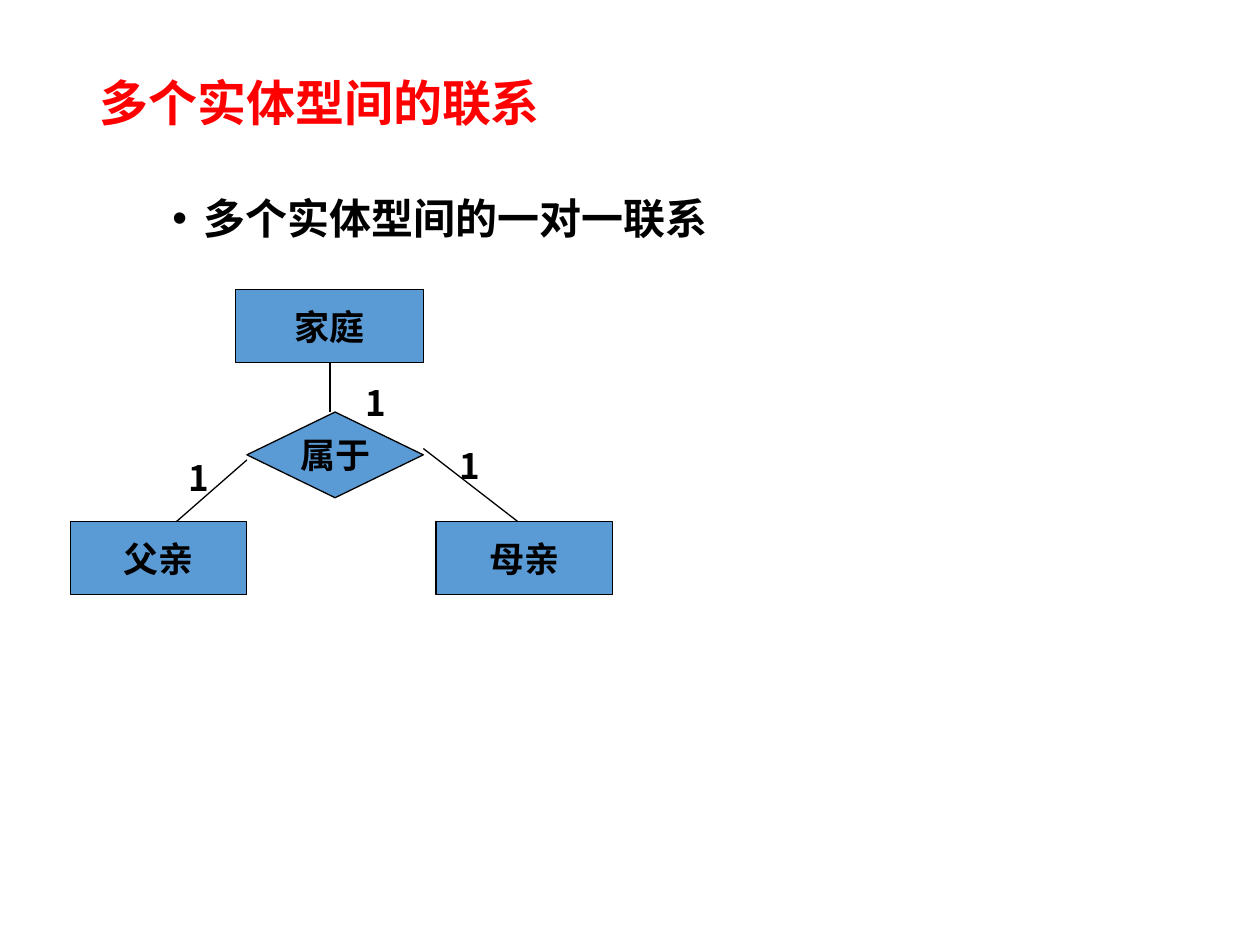
from lxml.etree import SubElement
from pptx import Presentation
from pptx.dml.color import RGBColor
from pptx.enum.shapes import MSO_CONNECTOR, MSO_SHAPE
from pptx.enum.text import MSO_ANCHOR, PP_ALIGN
from pptx.oxml.ns import qn
from pptx.util import Inches, Pt

FONT = "Noto Sans CJK SC"


def color(value):
    """Turn a hex string into a colour."""
    return RGBColor.from_string(value)


def write(sp, text, size, align=PP_ALIGN.LEFT, anchor=MSO_ANCHOR.MIDDLE,
          wrap=True, hex_color="000000"):
    """Put one bold paragraph into a shape and return the paragraph."""
    tf = sp.text_frame
    tf.word_wrap = wrap
    tf.vertical_anchor = anchor
    p = tf.paragraphs[0]
    p.alignment = align
    r = p.add_run()
    r.text = text
    r.font.name = FONT
    r.font.size = Pt(size)
    r.font.bold = True
    r.font.color.rgb = color(hex_color)
    SubElement(r.font._element, qn("a:ea"), typeface=FONT)
    return p


prs = Presentation()
prs.slide_width, prs.slide_height = Inches(10), Inches(7.5)
s = prs.slides.add_slide(prs.slide_layouts[5])

title = s.shapes.title
title.left, title.top = Inches(0.69), Inches(0.4)
title.width, title.height = Inches(8.62), Inches(0.87)
p = write(title, "多个实体型间的联系", 28, hex_color="FF0000")
p.line_spacing = 0.9

bullet = s.shapes.add_textbox(Inches(1.27), Inches(1), Inches(6.37), Inches(1.5))
p = write(bullet, "多个实体型间的一对一联系", 24)
p.line_spacing = 0.9
pPr = p._p.get_or_add_pPr()
pPr.set("marL", str(Inches(0.25)))
pPr.set("indent", str(-Inches(0.25)))
SubElement(pPr, qn("a:buFont"), typeface="Arial")
SubElement(pPr, qn("a:buChar"), char="•")

# Entities and their relationship
nodes = [
    ("家庭", MSO_SHAPE.RECTANGLE, 1.87, 2.3, 1.49, 0.58),
    ("父亲", MSO_SHAPE.RECTANGLE, 0.56, 4.14, 1.4, 0.58),
    ("母亲", MSO_SHAPE.RECTANGLE, 3.46, 4.14, 1.4, 0.58),
    ("属于", MSO_SHAPE.FLOWCHART_DECISION, 1.96, 3.27, 1.4, 0.68),
]
for text, kind, *box in nodes:
    sp = s.shapes.add_shape(kind, *map(Inches, box))
    sp.shadow.inherit = False
    sp.fill.solid()
    sp.fill.fore_color.rgb = color("5B9BD5")
    sp.line.color.rgb = color("000000")
    sp.line.width = Pt(0.75)
    write(sp, text, 20, PP_ALIGN.CENTER, wrap=False)

# Links between the relationship and each entity
links = [(2.62, 2.88, 2.62, 3.27), (1.4, 4.14, 1.96, 3.65), (4.11, 4.14, 3.36, 3.56)]
for ends in links:
    line = s.shapes.add_connector(MSO_CONNECTOR.STRAIGHT, *map(Inches, ends))
    line.line.color.rgb = color("000000")
    line.line.width = Pt(0.75)
    SubElement(line._element.spPr, qn("a:effectLst"))

# Cardinalities
for left, top in [(2.8, 2.98), (1.4, 3.57), (3.55, 3.48)]:
    sp = s.shapes.add_textbox(Inches(left), Inches(top), Inches(0.37), Inches(0.44))
    write(sp, "1", 20, anchor=MSO_ANCHOR.TOP)

prs.save("out.pptx")
